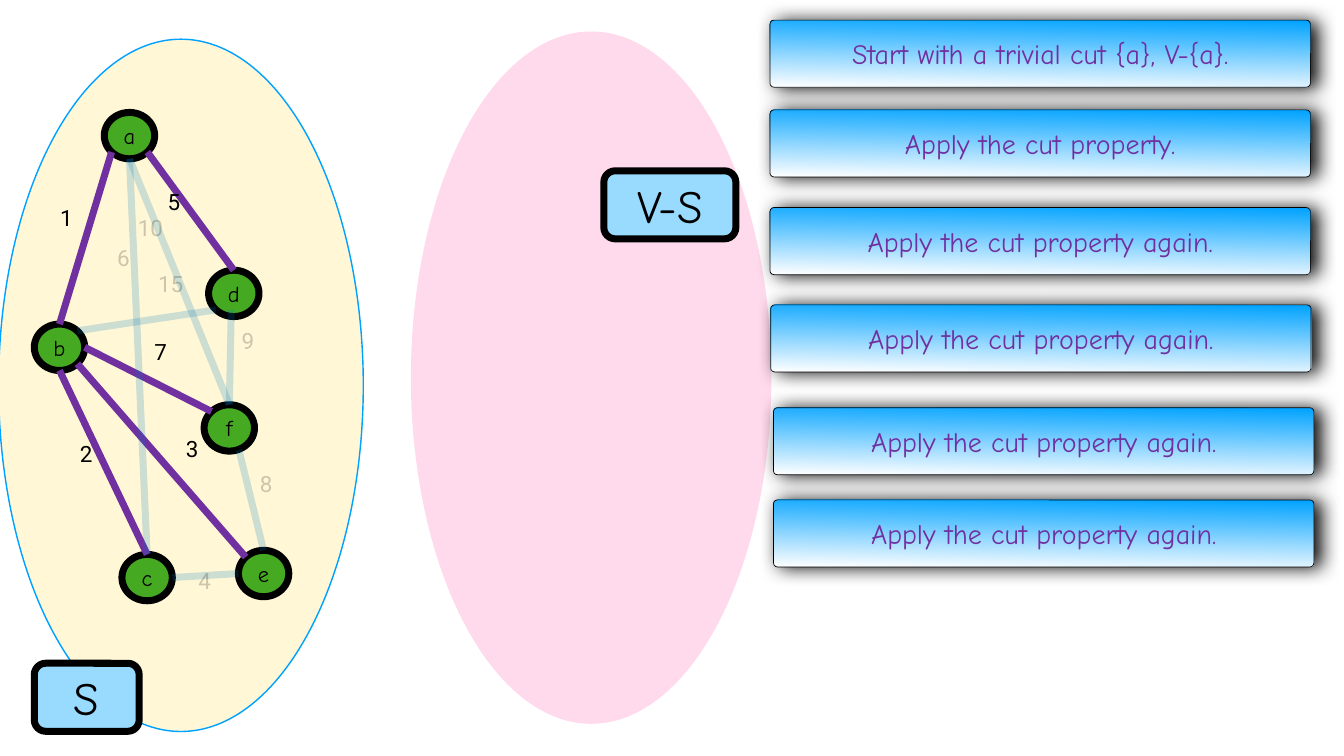
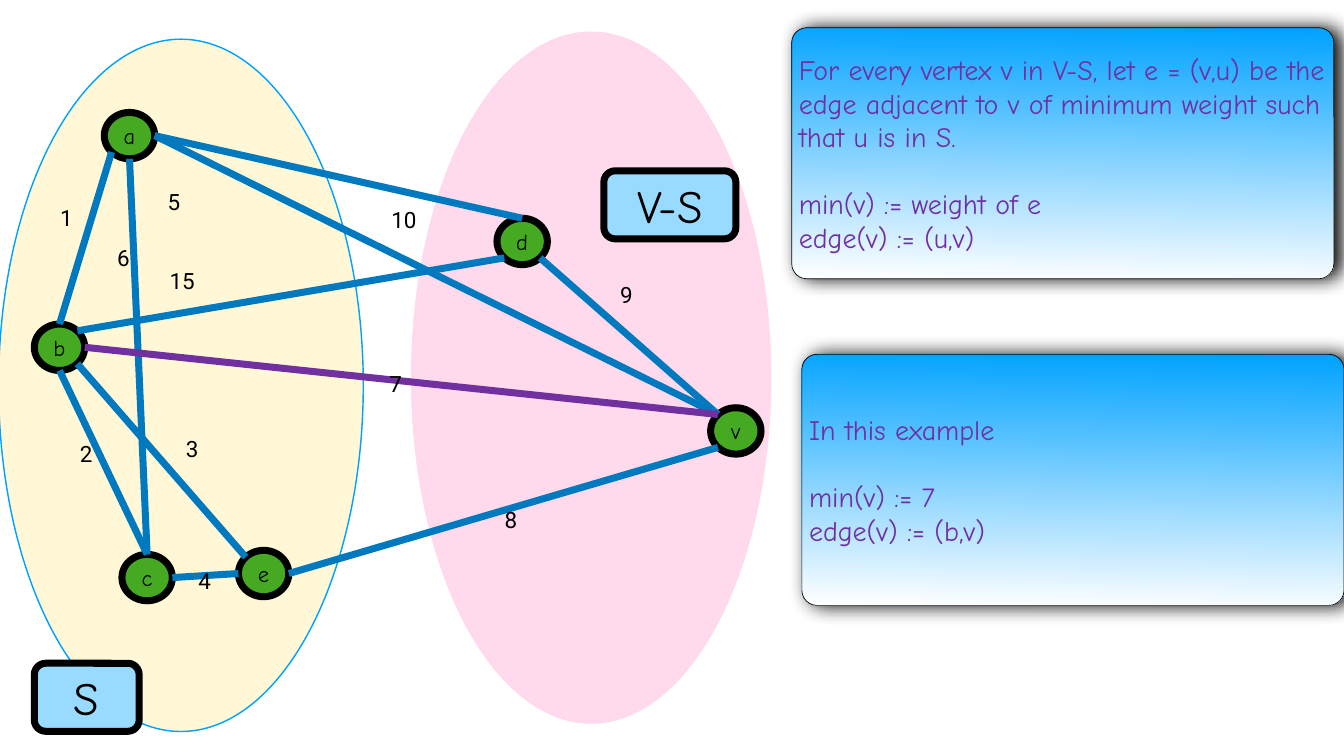
import pptx
import pptx.dml.color
import pptx.enum.dml
import pptx.enum.shapes
import pptx.enum.text
import pptx.oxml
import pptx.oxml.ns
import pptx.util
from lxml import etree

Pt = pptx.util.Pt
SHAPE = pptx.enum.shapes.MSO_SHAPE
ALIGN = pptx.enum.text.PP_ALIGN
qn = pptx.oxml.ns.qn

BLACK, BLUE, PURPLE = "000000", "0079BF", "7030A0"
GREEN, CREAM, PINK = "45AA21", "FFF7D6", "FFD9EC"
BADGE_BLUE, SKY, WHITE = "99DAFF", "00A2FF", "FFFFFF"
NODE_WIDTH, NODE_HEIGHT = 72, 66.24
DIAGONAL = 0.71

SITES = {
    "N": (0, -1), "E": (1, 0), "S": (0, 1), "W": (-1, 0),
    "NE": (DIAGONAL, -DIAGONAL), "SE": (DIAGONAL, DIAGONAL),
    "SW": (-DIAGONAL, DIAGONAL), "NW": (-DIAGONAL, -DIAGONAL),
    "inside S": (-0.1, 0.7), "S by E": (0.38, 0.95),
}

SHARED_NODES = {"a": (149, 160.6), "b": (49, 463), "c": (174.2, 792), "e": (340.6, 786.2)}
TREE_NODES = SHARED_NODES | {"d": (298, 386), "f": (291.6, 578.2)}
CUT_NODES = SHARED_NODES | {"d": (710, 311.8), "v": (1015.2, 582.5)}

SHARED_EDGES = {
    2: ("c", "N", "b", "S", (110.2, 605.5)),
    3: ("e", "NW", "b", "SE", (261.4, 599)),
    1: ("b", "N", "a", "SW", (82, 268.6)),
    6: ("c", "N", "a", "S", (163.4, 325.4)),
    4: ("c", "E", "e", "W", (279.4, 787.7)),
}
TREE_EDGES = {
    9: ("d", "inside S", "f", "N", (341.3, 444.2)),
    10: ("f", "N", "a", "S", (193, 283)),
    15: ("d", "SW", "b", "NE", (221.8, 363.6)),
    8: ("f", "S by E", "e", "N", (367.2, 649.4)),
    5: ("d", "N", "a", "SE", (235.4, 246.2)),
    7: ("f", "NW", "b", "E", (216.7, 460.8)),
} | SHARED_EDGES
CUT_EDGES = SHARED_EDGES | {
    9: ("d", "SE", "v", "NW", (882, 379.4)),
    10: ("v", "NW", "a", "E", (555, 271.4)),
    15: ("d", "SW", "b", "NE", (238.3, 358.6)),
    8: ("v", "SW", "e", "E", (717, 699.8)),
    5: ("d", "N", "a", "E", (235.4, 246.2)),
    7: ("v", "NW", "b", "E", (552.2, 506.2)),
}

STEPS = [
    (1100, 28.8, "Start with a trivial cut {a}, V-{a}."),
    (1100, 157, "Apply the cut property."),
    (1100, 296.6, "Apply the cut property again."),
    (1101, 435.6, "Apply the cut property again."),
    (1105, 582.5, "Apply the cut property again."),
    (1105, 714.2, "Apply the cut property again."),
]
DEFINITION = [
    "For every vertex v in V-S, let e = (v,u) be the edge adjacent to v of "
    "minimum weight such that u is in S.",
    "min(v) := weight of e",
    "edge(v) := (u,v)",
]
EXAMPLE = ["In this example", "min(v) := 7", "edge(v) := (b,v)"]


def color(value):
    return pptx.dml.color.RGBColor.from_string(value)


def fade(element, opacity):
    for tint in element.iter(qn("a:srgbClr")):
        etree.SubElement(tint, qn("a:alpha"), val=str(opacity * 1000))


class GraphDeck:
    """Draws cut diagrams and note cards on the current slide."""

    def __init__(self):
        self.presentation = pptx.Presentation()
        self.presentation.slide_width = Pt(1920)
        self.presentation.slide_height = Pt(1080)
        self.slide = None

    def new_slide(self):
        layout = self.presentation.slide_layouts[6]
        self.slide = self.presentation.slides.add_slide(layout)

    def fill_text(self, shape, lines, size, ink=BLACK, font="Comic Neue", align=ALIGN.CENTER):
        frame = shape.text_frame
        frame.word_wrap = True
        frame.vertical_anchor = pptx.enum.text.MSO_ANCHOR.MIDDLE
        frame.margin_left = frame.margin_right = Pt(4)
        frame.margin_top = frame.margin_bottom = Pt(4)
        frame.text = "\n".join(lines)
        for paragraph in frame.paragraphs:
            paragraph.alignment = align
            for run in paragraph.runs:
                run.font.name = font
                run.font.size = Pt(size)
                run.font.color.rgb = color(ink)
        return frame

    def shape(self, kind, left, top, width, height, fill=None, line=None, weight=10):
        shape = self.slide.shapes.add_shape(kind, Pt(left), Pt(top), Pt(width), Pt(height))
        shape.shadow.inherit = False
        if fill:
            shape.fill.solid()
            shape.fill.fore_color.rgb = color(fill)
        if line:
            shape.line.color.rgb = color(line)
            shape.line.width = Pt(weight)
        else:
            shape.line.fill.background()
        return shape

    def badge(self, text, left, top, width):
        shape = self.shape(SHAPE.ROUNDED_RECTANGLE, left, top, width, 97.2, BADGE_BLUE, BLACK)
        self.fill_text(shape, [text], 66)

    def node(self, name, left, top):
        shape = self.shape(SHAPE.OVAL, left, top, NODE_WIDTH, NODE_HEIGHT, GREEN, BLACK)
        self.fill_text(shape, [name], 32)

    def edge(self, start, end, ink, opacity):
        connector = self.slide.shapes.add_connector(
            pptx.enum.shapes.MSO_CONNECTOR.STRAIGHT, *map(Pt, start + end))
        connector.line.color.rgb = color(ink)
        connector.line.width = Pt(10)
        properties = connector._element.spPr
        etree.SubElement(properties, qn("a:effectLst"))
        if opacity < 100:
            fade(properties, opacity)

    def label(self, weight, left, top, opacity):
        width = 39 if weight < 10 else 50.4
        box = self.slide.shapes.add_textbox(Pt(left), Pt(top), Pt(width), Pt(88.6))
        frame = self.fill_text(box, [str(weight)], 32, font="Roboto", align=ALIGN.LEFT)
        frame.paragraphs[0].line_spacing = 0.9
        if opacity < 100:
            fade(box._element, opacity)

    def card(self, lines, left, top, width, height, align, gap=0):
        shape = self.shape(SHAPE.ROUNDED_RECTANGLE, left, top, width, height,
                           line=BLACK, weight=1)
        shape.adjustments[0] = 0.06
        shape.fill.gradient()
        shape.fill.gradient_angle = 269
        for stop, tint in zip(shape.fill.gradient_stops, (SKY, WHITE)):
            stop.color.rgb = color(tint)
        effects = shape._element.spPr.find(qn("a:effectLst"))
        shadow = etree.SubElement(
            effects, qn("a:outerShdw"), blurRad=str(Pt(28)), dist=str(Pt(9)),
            dir="0", algn="ctr", rotWithShape="0")
        etree.SubElement(shadow, qn("a:srgbClr"), val=BLACK)
        fade(shadow, 97)
        frame = self.fill_text(shape, lines, 40, PURPLE, align=align)
        if gap:
            frame.paragraphs[1].space_before = Pt(gap)

    def graph(self, nodes, edges, chosen, other_opacity):
        self.shape(SHAPE.OVAL, -2, 56, 521, 989, CREAM, SKY, 2)
        self.shape(SHAPE.OVAL, 587, 45, 515, 989, PINK)
        self.badge("S", 49, 947.5, 149.8)
        for name, place in nodes.items():
            self.node(name, *place)

        def end_point(name, site):
            left, top = nodes[name]
            across, down = SITES[site]
            return (left + NODE_WIDTH / 2 * (1 + across),
                    top + NODE_HEIGHT / 2 * (1 + down))

        def opacity(weight):
            return 100 if weight in chosen else other_opacity

        for weight, (first, first_site, second, second_site, _) in edges.items():
            self.edge(end_point(first, first_site), end_point(second, second_site),
                      PURPLE if weight in chosen else BLUE, opacity(weight))
        for weight, (*_, place) in edges.items():
            self.label(weight, *place, opacity(weight))
        self.badge("V-S", 862.6, 244, 188.6)


def main():
    deck = GraphDeck()

    deck.new_slide()
    deck.graph(TREE_NODES, TREE_EDGES, {1, 2, 3, 5, 7}, 20)
    for left, top, text in STEPS:
        deck.card([text], left, top, 772, 95.8, ALIGN.CENTER)

    deck.new_slide()
    deck.graph(CUT_NODES, CUT_EDGES, {7}, 100)
    for lines, left, top in ((DEFINITION, 1131, 39.6), (EXAMPLE, 1145.5, 506.2)):
        deck.card(lines, left, top, 774.5, 358.6, ALIGN.LEFT, gap=48)

    deck.presentation.save("out.pptx")


if __name__ == "__main__":
    main()
